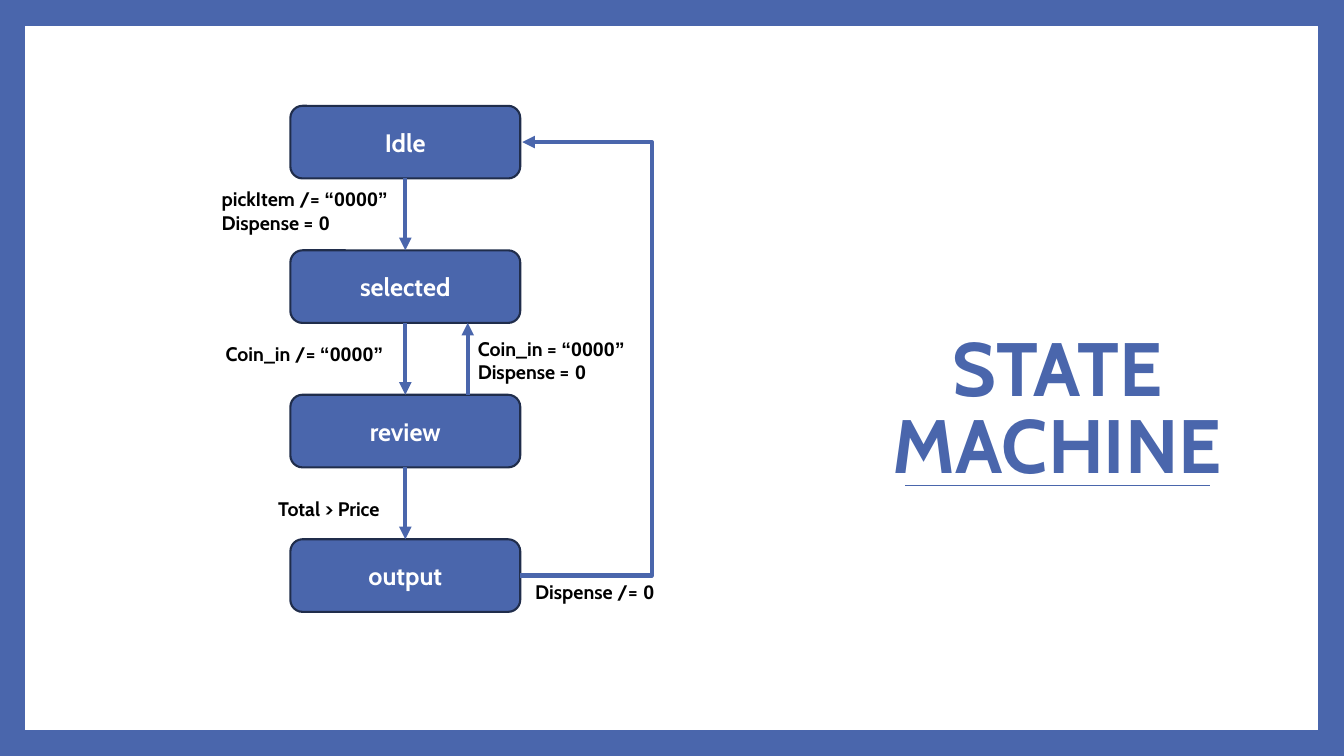
"""Build a slide that shows the state machine of a vending machine."""
from dataclasses import dataclass

from lxml.etree import SubElement
from pptx import Presentation
from pptx.dml.color import RGBColor
from pptx.enum.shapes import MSO_CONNECTOR, MSO_SHAPE
from pptx.enum.text import MSO_ANCHOR, MSO_AUTO_SIZE, PP_ALIGN
from pptx.oxml.ns import qn
from pptx.util import Inches, Pt


@dataclass(frozen=True)
class Theme:
    blue: RGBColor = RGBColor(0x4A, 0x66, 0xAC)
    navy: RGBColor = RGBColor(0x20, 0x2D, 0x4B)
    white: RGBColor = RGBColor(0xFF, 0xFF, 0xFF)
    black: RGBColor = RGBColor(0, 0, 0)
    font: str = "Cabin"
    digit: str = "Arial"
    title: float = 54
    state: float = 18
    label: float = 14
    frame: float = 1
    rule: float = 0.79
    edge: float = 1.5
    arrow: float = 3
    halo: float = 1.25


@dataclass(frozen=True)
class Label:
    left: float
    top: float
    width: float
    height: float
    lines: tuple[tuple[str, str], ...]


THEME = Theme()
STATES = ("Idle", "selected", "review", "output")
LEFT, WIDTH, HEIGHT = 2.88, 2.28, 0.72
FIRST, LAST = 1.05, 5.35
STEP = (LAST - FIRST) / (len(STATES) - 1)
RIGHT = LEFT + WIDTH
BACK, LOOP, NUDGE = 4.64, 6.46, 0.02
RESET = ("Dispense =", " 0")
LABELS = (
    Label(2.1, 1.81, 2.02, 0.81, (("pickItem /= ", "“0000”"), RESET)),
    Label(2.14, 3.34, 1.93, 0.34, (("Coin_in /= ", "“0000”"),)),
    Label(4.64, 3.29, 2.02, 0.57, (("Coin_in = ", "“0000”"), RESET)),
    Label(2.66, 4.88, 1.28, 0.34, (("Total > Price", ""),)),
    Label(5.21, 5.7, 1.41, 0.34, (("Dispense /=", " 0"),)),
)


def write(para, text: str, size: float, color: RGBColor, name: str = THEME.font):
    """Add a bold run to a paragraph."""
    run = para.add_run()
    run.text = text
    style = {"name": name, "size": Pt(size), "bold": True}
    for key, value in style.items():
        setattr(run.font, key, value)
    run.font.color.rgb = color
    return run


def box(shapes, kind, area, fill, line: RGBColor, width: float):
    """Draw a flat shape, hollow if it has no fill."""
    shape = shapes.add_shape(kind, *map(Inches, area))
    shape.shadow.inherit = False
    if fill is None:
        shape.fill.background()
    else:
        shape.fill.solid()
        shape.fill.fore_color.rgb = fill
    shape.line.color.rgb = line
    shape.line.width = Pt(width)
    return shape


def link(shapes, kind, start, end, width: float, head: bool = True):
    """Draw a flat connector, with an arrowhead at its end if asked."""
    wire = shapes.add_connector(kind, *map(Inches, (*start, *end)))
    wire.line.color.rgb = THEME.blue
    wire.line.width = Pt(width)
    part = wire._element.spPr
    if head:
        SubElement(part.find(qn("a:ln")), qn("a:tailEnd"), type="triangle")
    SubElement(part, qn("a:effectLst"))
    return wire


def state(shapes, name: str, top: float):
    """Draw one state of the machine."""
    node = box(shapes, MSO_SHAPE.ROUNDED_RECTANGLE, (LEFT, top, WIDTH, HEIGHT),
               THEME.blue, THEME.navy, THEME.edge)
    node.text_frame.vertical_anchor = MSO_ANCHOR.MIDDLE
    para = node.text_frame.paragraphs[0]
    para.alignment = PP_ALIGN.CENTER
    write(para, name, THEME.state, THEME.white)
    return node


def note(shapes, label: Label) -> None:
    """Write the label of a transition."""
    area = (label.left, label.top, label.width, label.height)
    frame = shapes.add_textbox(*map(Inches, area)).text_frame
    frame.word_wrap = True
    frame.auto_size = MSO_AUTO_SIZE.SHAPE_TO_FIT_TEXT
    for row, (words, digits) in enumerate(label.lines):
        para = frame.add_paragraph() if row else frame.paragraphs[0]
        write(para, words, THEME.label, THEME.black)
        if digits:
            write(para, digits, THEME.label, THEME.black, THEME.digit)


def flow(shapes) -> None:
    """Draw the states, transitions and labels."""
    tops = [FIRST + STEP * row for row in range(len(STATES))]
    nodes = [state(shapes, name, top) for name, top in zip(STATES, tops)]
    mid = LEFT + WIDTH / 2
    for row in range(len(nodes) - 1):
        wire = link(shapes, MSO_CONNECTOR.STRAIGHT, (mid, tops[row] + HEIGHT),
                    (mid, tops[row + 1]), THEME.arrow)
        wire.begin_connect(nodes[row], 2)
        wire.end_connect(nodes[row + 1], 0)
    link(shapes, MSO_CONNECTOR.STRAIGHT, (BACK, tops[2]),
         (BACK, tops[1] + HEIGHT), THEME.arrow)
    loop = link(shapes, MSO_CONNECTOR.ELBOW, (RIGHT, LAST + HEIGHT / 2),
                (RIGHT + NUDGE, FIRST + HEIGHT / 2), THEME.arrow)
    bend = round((LOOP - RIGHT) / NUDGE * 100000)
    guides = loop._element.spPr.find(qn("a:prstGeom")).get_or_add_avLst()
    SubElement(guides, qn("a:gd"), name="adj1", fmla=f"val {bend}")
    for label in LABELS:
        note(shapes, label)


def head(slide) -> None:
    """Place and format the title in front of the panel."""
    title = slide.shapes.title
    area = {"left": 8.61, "top": 0.94, "width": 3.75, "height": 3.96}
    for key, value in area.items():
        setattr(title, key, Inches(value))
    slide.shapes._spTree.append(title._element)
    frame = title.text_frame
    frame.word_wrap = True
    frame.auto_size = MSO_AUTO_SIZE.NONE
    frame.vertical_anchor = MSO_ANCHOR.BOTTOM
    para = frame.paragraphs[0]
    para.alignment = PP_ALIGN.CENTER
    para.line_spacing = 0.85
    run = write(para, "STATE MACHINE", THEME.title, THEME.blue)
    props = run._r.get_or_add_rPr()
    halo = SubElement(props, qn("a:ln"), w=str(Pt(THEME.halo)))
    fill = SubElement(halo, qn("a:solidFill"))
    SubElement(fill, qn("a:srgbClr"), val=str(THEME.white))
    props.insert(0, halo)


def main() -> None:
    """Build and save the slide."""
    deck = Presentation()
    deck.slide_width, deck.slide_height = Inches(13.33), Inches(7.5)
    slide = deck.slides.add_slide(deck.slide_layouts[5])
    slide.background.fill.solid()
    slide.background.fill.fore_color.rgb = THEME.blue
    panel = (0.25, 0.27, 12.82, 6.97)
    box(slide.shapes, MSO_SHAPE.RECTANGLE, panel, THEME.white, THEME.white, THEME.frame)
    link(slide.shapes, MSO_CONNECTOR.STRAIGHT, (8.98, 4.82), (12, 4.82), THEME.rule, False)
    box(slide.shapes, MSO_SHAPE.RECTANGLE, panel, None, THEME.white, THEME.frame)
    head(slide)
    flow(slide.shapes.add_group_shape().shapes)
    deck.save("out.pptx")


if __name__ == "__main__":
    main()
